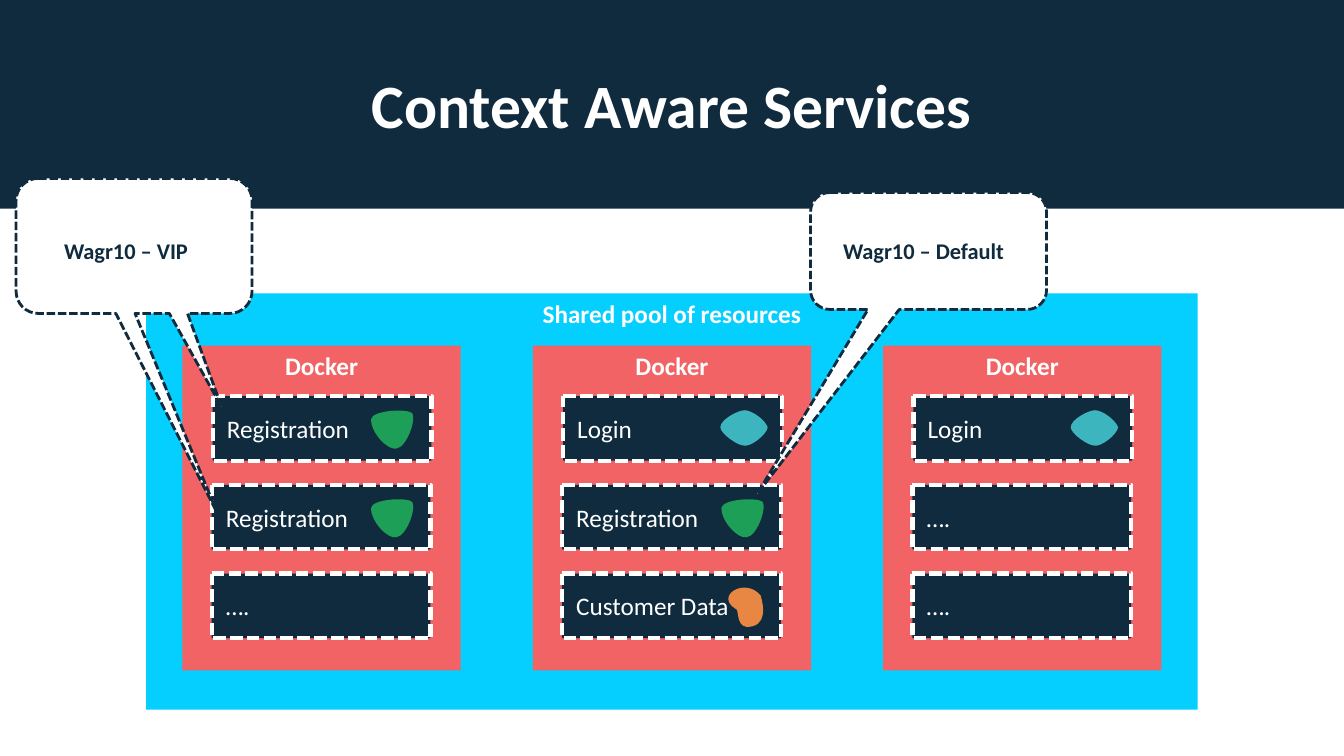
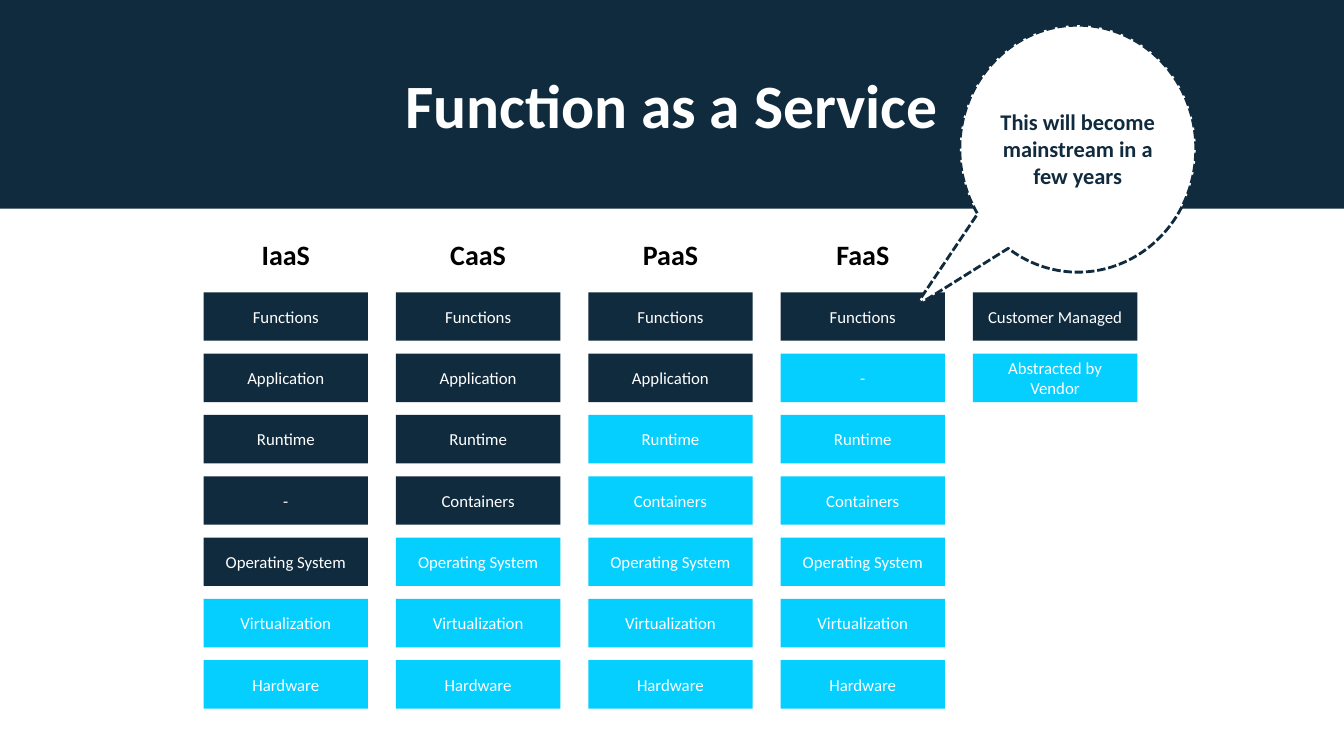
import pptx
import pptx.dml.color
import pptx.enum.dml
import pptx.enum.shapes
import pptx.enum.text
import pptx.oxml
import pptx.oxml.ns
import pptx.util

RGB = pptx.dml.color.RGBColor
SHAPE = pptx.enum.shapes.MSO_SHAPE
ALIGN = pptx.enum.text.PP_ALIGN
ANCHOR = pptx.enum.text.MSO_ANCHOR
INCH = pptx.util.Inches

NAVY = RGB(0x10, 0x2B, 0x3E)
CYAN = RGB(0x05, 0xCF, 0xFF)
CORAL = RGB(0xF1, 0x63, 0x64)
GREEN = RGB(0x1D, 0x9F, 0x58)
TEAL = RGB(0x3D, 0xB5, 0xBE)
ORANGE = RGB(0xE8, 0x87, 0x44)
WHITE = RGB(0xFF, 0xFF, 0xFF)
BLACK = RGB(0, 0, 0)

FONT = "Calibri"
WIDE, HIGH = 13.33, 7.5
BAND = 2.07

POOL_LEFT, POOL_STEP, POOL_TOP = 1.81, 6.95 / 2, 3.43
SLOT_TOP, SLOT_STEP = 3.93, 0.88
SLOT_IN = (0.3, 0.29, 0.29)

STACK_LEFT, STACK_STEP = 2.02, 7.63 / 4
HEAD_TOP, LAYER_TOP, LAYER_STEP = 2.28, 2.9, 3.65 / 6
CELL = (1.63, 0.48)

SHIELD = (GREEN, [
    (2.28, 0.17),
    (2.32, 0.24, 2.22, 0.51, 2.12, 0.52),
    (2.04, 0.54, 1.87, 0.37, 1.87, 0.23),
    (1.88, 0.14, 2.23, 0.12, 2.28, 0.17),
])
LENS = (TEAL, [
    (1.86, 0.31),
    (1.86, 0.23, 2.04, 0.14, 2.1, 0.14),
    (2.17, 0.14, 2.3, 0.23, 2.33, 0.31),
    (2.32, 0.38, 2.16, 0.51, 2.09, 0.49),
    (2.03, 0.49, 1.86, 0.37, 1.86, 0.31),
])
BEAN = (ORANGE, [
    (2.01, 0.35),
    (1.8, 0.22, 2.11, 0.03, 2.26, 0.22),
    (2.29, 0.32, 2.33, 0.53, 2.12, 0.53),
    (2.01, 0.51, 2.05, 0.35, 2.01, 0.35),
])
ICONS = {"Registration": SHIELD, "Login": LENS, "Customer Data": BEAN}
HOSTS = [
    ["Registration", "Registration", "…."],
    ["Login", "Registration", "Customer Data"],
    ["Login", "….", "…."],
]

BASE = ["Operating System", "Virtualization", "Hardware"]
STACKS = [
    ("IaaS", 5, ["Functions", "Application", "Runtime", "-"] + BASE),
    ("CaaS", 4, ["Functions", "Application", "Runtime", "Containers"] + BASE),
    ("PaaS", 2, ["Functions", "Application", "Runtime", "Containers"] + BASE),
    ("FaaS", 1, ["Functions", "-", "Runtime", "Containers"] + BASE),
    (None, 1, ["Customer Managed", "Abstracted by Vendor"]),
]


def paint(shape, fill, line=None, width=2):
    shape.shadow.inherit = False
    if fill is None:
        shape.fill.background()
    else:
        shape.fill.solid()
        shape.fill.fore_color.rgb = fill
    if line is None:
        shape.line.fill.background()
    else:
        shape.line.color.rgb = line
        shape.line.width = pptx.util.Pt(width)
        shape.line.dash_style = pptx.enum.dml.MSO_LINE.SQUARE_DOT


def write(shape, text, size, color=WHITE, bold=False, align=ALIGN.CENTER,
          anchor=ANCHOR.MIDDLE, inset=None):
    frame = shape.text_frame
    frame.word_wrap = True
    frame.vertical_anchor = anchor
    if inset is not None:
        frame.margin_left, frame.margin_top, frame.margin_right, frame.margin_bottom = map(INCH, inset)
    para = frame.paragraphs[0]
    para.text = text
    para.alignment = align
    para.font.name = FONT
    para.font.size = pptx.util.Pt(size)
    para.font.bold = bold
    para.font.color.rgb = color


def block(shapes, at, fill, kind=SHAPE.RECTANGLE, line=None, width=2):
    shape = shapes.add_shape(kind, *map(INCH, at))
    paint(shape, fill, line, width)
    return shape


def cell(shapes, at, fill, line=None, width=2):
    shape = block(shapes, at, fill, SHAPE.ROUNDED_RECTANGLE, line, width)
    shape.adjustments[0] = 0
    return shape


def bend(shape, path):
    name = pptx.oxml.ns.qn
    lines = iter(list(shape.element.iter(name("a:lnTo"))))
    for step in path[1:]:
        group = [next(lines) for _ in range(len(step) // 2)]
        if len(group) == 3:
            curve = pptx.oxml.parse_xml(f"<a:cubicBezTo {pptx.oxml.ns.nsdecls('a')}/>")
            group[0].addprevious(curve)
            for line in group:
                curve.append(line[0])
                line.getparent().remove(line)


def trace(shapes, path, fill, line=None, left=0, top=0):
    def place(x, y):
        return INCH(left + x), INCH(top + y)

    spots = [place(*step[i:i + 2]) for step in path for i in range(0, len(step), 2)]
    pen = shapes.build_freeform(*spots[0], scale=1.0)
    pen.add_line_segments(spots[1:], close=True)
    shape = pen.convert_to_shape()
    bend(shape, path)
    paint(shape, fill, line)


def bubble(shapes, at, curve, tails, text, label):
    left, top, wide, high = at
    right, base = left + wide, top + high
    k = curve * 0.45
    path = [
        (left + curve, top), (right - curve, top),
        (right - k, top, right, top + k, right, top + curve),
        (right, base - curve),
        (right, base - k, right - k, base, right - curve, base),
    ]
    for near, x, y, far in tails:
        path += [(near, base), (x, y), (far, base)]
    path += [
        (left + curve, base),
        (left + k, base, left, base - k, left, base - curve),
        (left, top + curve),
        (left, top + k, left + k, top, left + curve, top),
    ]
    trace(shapes, path, WHITE, NAVY)
    box = shapes.add_textbox(*map(INCH, label))
    write(box, text, 16, NAVY, True, inset=(0, 0, 0, 0))


def start(deck, title):
    shapes = deck.slides.add_slide(deck.slide_layouts[6]).shapes
    write(block(shapes, (0, 0, WIDE, BAND), NAVY), title, 44, bold=True)
    return shapes


def panel(shapes, at, fill, text):
    write(block(shapes, at, fill), text, 18, bold=True, anchor=ANCHOR.TOP)


def host(shapes, col, names):
    left = POOL_LEFT + col * POOL_STEP
    panel(shapes, (left, POOL_TOP, 2.76, 3.22), CORAL, "Docker")
    for row, name in enumerate(names):
        top = SLOT_TOP + row * SLOT_STEP
        slot = cell(shapes, (left + SLOT_IN[row], top, 2.17, 0.64), NAVY, WHITE, 3)
        write(slot, name, 18, align=ALIGN.LEFT, inset=(0.14, 0.05, 0.1, 0.05))
        if name in ICONS:
            fill, path = ICONS[name]
            trace(shapes, path, fill, left=left, top=top)


def stack(shapes, col, head, own, names):
    group = shapes.add_group_shape().shapes
    left = STACK_LEFT + col * STACK_STEP
    for row, name in enumerate(names):
        fill = NAVY if row < own else CYAN
        top = LAYER_TOP + row * LAYER_STEP
        write(cell(group, (left, top, *CELL), fill), name, 12)
    if head:
        write(cell(group, (left, HEAD_TOP, *CELL), None), head, 20, BLACK, True)


def context(deck):
    shapes = start(deck, "Context Aware Services")
    panel(shapes, (1.45, 2.91, 10.43, 4.13), CYAN, "Shared pool of resources")
    for col, names in enumerate(HOSTS):
        host(shapes, col, names)
    bubble(shapes, (0.16, 1.77, 2.34, 1.34), 0.22,
           [(1.86, 2.2, 4.04, 1.68), (1.34, 2.16, 5.1, 1.15)],
           "Wagr10 – VIP", (0.43, BAND, 1.64, 0.84))
    bubble(shapes, (8.04, 1.91, 2.34, 1.16), 0.19,
           [(8.92, 7.51, 4.9, 8.61)],
           "Wagr10 – Default", (8.34, BAND, 1.64, 0.84))


def faas(deck):
    shapes = start(deck, "Function as a Service")
    for col, (head, own, names) in enumerate(STACKS):
        stack(shapes, col, head, own, names)
    note = block(shapes, (9.52, 0.25, 2.34, 2.45), WHITE, SHAPE.OVAL_CALLOUT, NAVY)
    note.adjustments[0] = -0.69
    note.adjustments[1] = 0.64
    write(note, "This will become mainstream in a few years", 16, NAVY, True, inset=(0, 0, 0, 0))


def main():
    deck = pptx.Presentation()
    deck.slide_width = INCH(WIDE)
    deck.slide_height = INCH(HIGH)
    context(deck)
    faas(deck)
    deck.save("out.pptx")


if __name__ == "__main__":
    main()
